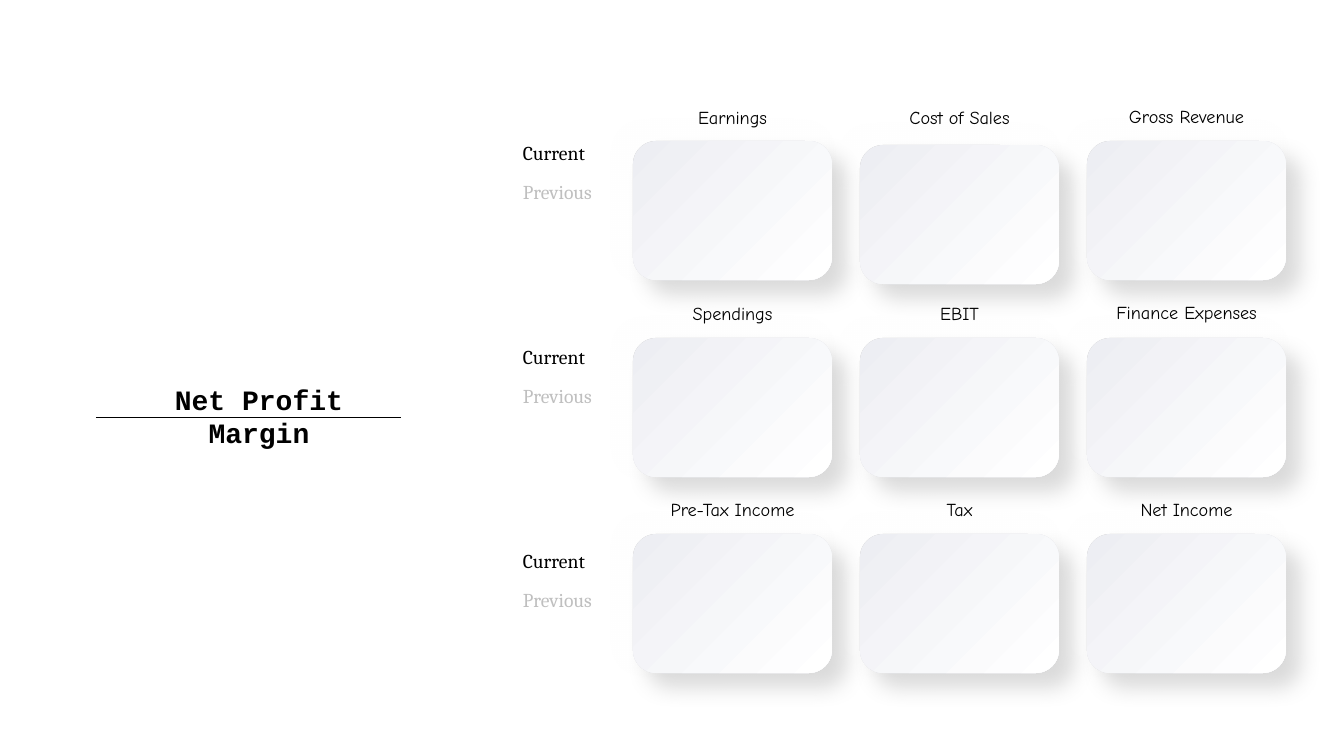
import lxml.etree
import pptx
import pptx.dml.color
import pptx.enum.shapes
import pptx.enum.text
import pptx.oxml.ns
import pptx.util

TITLE = "Net Profit Margin"
CARDS = [
    [("Earnings", 115, 101, 141), ("Cost of Sales", 157, 101, 145), ("Gross Revenue", 177, 100, 141)],
    [("Spendings", 126, 297, 338), ("EBIT", 111, 297, 338), ("Finance Expenses", 199, 296, 338)],
    [("Pre-Tax Income", 199, 493, 534), ("Tax", 240, 493, 534), ("Net Income", 138, 493, 534)],
]
PERIODS = [("Current", "000000"), ("Previous", "BFBFBF")]
CARD_LEFT, CARD_STEP, CARD_WIDTH, CARD_HEIGHT = 633, 227, 199, 139
PERIOD_LEFT, PERIOD_TOP, PERIOD_STEP, PERIOD_ROW_STEP = 513, 136, 39, 204
SCALE = 12192000 / 1344
ALIGN = pptx.enum.text.PP_ALIGN


def px(length):
    return pptx.util.Emu(round(length * SCALE))


def color(value):
    return pptx.dml.color.RGBColor.from_string(value)


def write(box, text, font, size, shade, align, bold=False):
    frame = box.text_frame
    frame.word_wrap = True
    frame.auto_size = pptx.enum.text.MSO_AUTO_SIZE.SHAPE_TO_FIT_TEXT
    frame.vertical_anchor = pptx.enum.text.MSO_ANCHOR.TOP
    para = frame.paragraphs[0]
    para.alignment = align
    para.line_spacing = 1.0
    span = para.add_run()
    span.text = text
    span.font.name = font
    span.font.size = pptx.util.Pt(size)
    span.font.bold = bold
    span.font.color.rgb = color(shade)


def add_text(left, top, width, height, *style):
    box = page.shapes.add_textbox(px(left), px(top), px(width), px(height))
    write(box, *style)


def clear_effects(shape):
    qn = pptx.oxml.ns.qn
    return lxml.etree.SubElement(shape._element.spPr, qn("a:effectLst"))


def add_layer(group, left, top, shadow, blur, direction):
    qn = pptx.oxml.ns.qn
    layer = group.shapes.add_shape(
        pptx.enum.shapes.MSO_SHAPE.ROUNDED_RECTANGLE,
        px(left), px(top), px(CARD_WIDTH), px(CARD_HEIGHT))
    layer.line.fill.background()
    effects = clear_effects(layer)
    outer = lxml.etree.SubElement(
        effects, qn("a:outerShdw"), blurRad=str(pptx.util.Pt(blur)),
        dist=str(pptx.util.Pt(blur)), dir=str(direction * 60000),
        algn="ctr", rotWithShape="0")
    tint = lxml.etree.SubElement(outer, qn("a:srgbClr"), val=shadow)
    lxml.etree.SubElement(tint, qn("a:alpha"), val="40000")
    return layer


def add_card(left, top):
    group = page.shapes.add_group_shape()
    base = add_layer(group, left, top, "FFFFFF", 10, 225)
    base.fill.solid()
    base.fill.fore_color.rgb = color("BFBFBF")
    face = add_layer(group, left, top, "A6A6A6", 15, 45)
    face.fill.gradient()
    face.fill.gradient_angle = 315
    for stop, shade in zip(face.fill.gradient_stops, ("EDEEF3", "FFFFFF")):
        stop.color.rgb = color(shade)


deck = pptx.Presentation()
deck.slide_width, deck.slide_height = px(1344), px(756)
page = deck.slides.add_slide(deck.slide_layouts.get_by_name("Title Only"))
page.background.fill.solid()
page.background.fill.fore_color.rgb = color("FFFFFF")

title = page.shapes.title
title.left, title.top, title.width, title.height = px(140), px(377), px(238), px(44)
write(title, TITLE, "Courier New", 20, "000000", ALIGN.CENTER, True)

for row, cards in enumerate(CARDS):
    for column, (label, width, label_top, card_top) in enumerate(cards):
        left = CARD_LEFT + column * CARD_STEP
        add_card(left, card_top)
        add_text(left + (CARD_WIDTH - width) / 2, label_top, width, 32,
                 label, "Comic Neue", 13, "000000", ALIGN.CENTER)
    for index, (period, shade) in enumerate(PERIODS):
        top = PERIOD_TOP + row * PERIOD_ROW_STEP + index * PERIOD_STEP
        add_text(PERIOD_LEFT, top, 128, 34, period, "Cambria", 14, shade, ALIGN.LEFT)

rule = page.shapes.add_connector(
    pptx.enum.shapes.MSO_CONNECTOR.STRAIGHT, px(96), px(417), px(401), px(417))
rule.line.color.rgb = color("000000")
rule.line.width = pptx.util.Pt(0.5)
clear_effects(rule)

deck.save("out.pptx")
